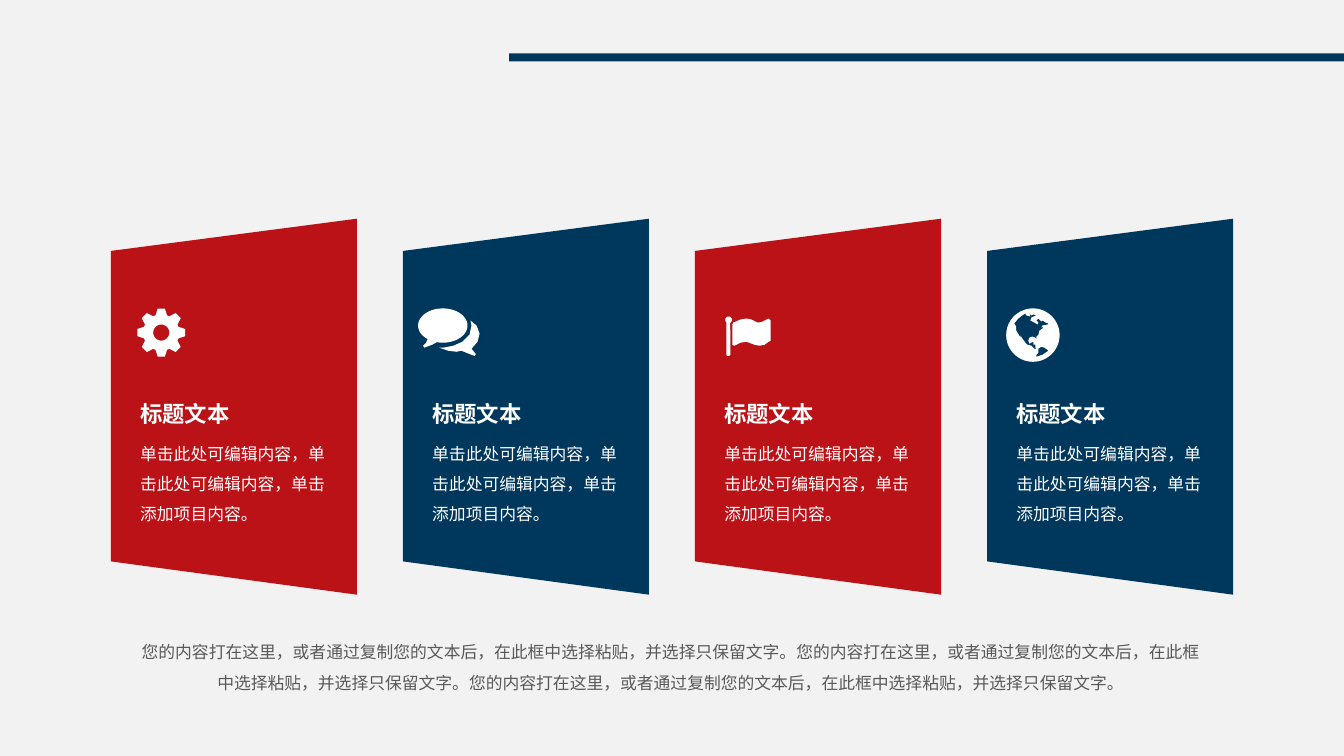
from dataclasses import dataclass
from math import cos, radians, sin

from pptx import Presentation
from pptx.dml.color import RGBColor
from pptx.enum import shapes, text
from pptx.util import Inches, Pt


@dataclass(frozen=True)
class Theme:
    background: RGBColor = RGBColor.from_string("F2F2F2")
    red: RGBColor = RGBColor.from_string("BA1216")
    navy: RGBColor = RGBColor.from_string("00375D")
    white: RGBColor = RGBColor.from_string("FFFFFF")
    grey: RGBColor = RGBColor.from_string("595959")
    font: str = "Noto Sans CJK SC"
    heading: Pt = Pt(16)
    body: Pt = Pt(12)


THEME = Theme()
CARD_TITLE = "标题文本"
CARD_BODY = "单击此处可编辑内容，单击此处可编辑内容，单击添加项目内容。"
SUMMARY = "您的内容打在这里，或者通过复制您的文本后，在此框中选择粘贴，并选择只保留文字。" * 3


def arc(cx, cy, rx, ry, start=0, end=360):
    """Points along an ellipse, with angles in degrees clockwise from the right."""
    steps = 60
    angles = [radians(start + (end - start) * i / steps) for i in range(steps + 1)]
    return [(cx + rx * cos(a), cy + ry * sin(a)) for a in angles]


def gear_outline():
    corners = ((-18.5, 18), (-8.5, 24), (8.5, 24), (18.5, 18))
    return [(24 + r * cos(radians(45 * tooth + turn)),
             24 + r * sin(radians(45 * tooth + turn)))
            for tooth in range(8) for turn, r in corners]


# Icon contours are in hundredths of an inch from the icon's top left corner.
GEAR = [gear_outline(), arc(24, 24, 8, 8)]
BUBBLES = [
    arc(24.5, 17, 24.5, 17, 128, 464) + [(14, 36), (6, 39), (5, 37), (8, 34)],
    [(53, 40), (57, 45), (57, 46), (56, 47), (53, 46), (43, 42), (38, 43),
     (30, 42), (21, 39), (25, 39), (35, 37), (44, 33), (51, 26), (53, 17),
     (52, 12), (58, 17), (61, 25), (59, 33)],
]
FLAG = [
    arc(3.3, 3.3, 3.3, 3.3, 120, 420) + [(5, 38), (4, 39), (2, 39), (1, 38), (1, 6)],
    [(7, 8), (8, 6), (15, 3), (21, 2), (26, 3), (32, 6), (36, 5.5), (43, 2),
     (45, 4), (45, 24), (43, 25), (39, 28), (34, 29), (29, 28), (21, 25),
     (15, 26), (9, 29), (7, 28)],
]
GLOBE = [
    arc(26.5, 26.5, 26.5, 26.5),
    [(35, 19), (36, 17), (41, 16), (42, 15), (39, 14), (36, 12), (35, 13),
     (32, 10), (30, 12), (32, 14), (31, 16), (28, 14), (24, 12), (25, 9),
     (30, 7), (27, 6), (25, 7), (23, 5), (24, 8), (20, 7), (19, 5), (16, 7),
     (12, 10), (8, 15), (10, 18), (10, 22), (13, 27), (16, 31), (14, 27),
     (19, 34), (21, 36), (25, 37), (28, 40), (31, 41), (29, 39), (29, 36),
     (27, 36), (27, 33), (25, 34), (23, 35), (22, 32), (23, 29), (26, 28),
     (29, 29), (30, 31), (30, 28), (32, 26), (33, 22), (36, 20), (37, 18)],
    [(42, 42), (38, 39), (35, 38), (32, 40), (32, 44), (30, 46), (30, 48), (36, 46)],
]


def paint(shape, color):
    shape.fill.solid()
    shape.fill.fore_color.rgb = color
    shape.line.fill.background()
    shape.shadow.inherit = False


def add_outline(slide, left, top, contours, color):
    """Draw closed contours, given in hundredths of an inch, as one filled shape."""
    scaled = [[(Inches(x / 100), Inches(y / 100)) for x, y in contour]
              for contour in contours]
    builder = slide.shapes.build_freeform(*scaled[0][0])
    builder.add_line_segments(scaled[0][1:], close=True)
    for contour in scaled[1:]:
        builder.move_to(*contour[0])
        builder.add_line_segments(contour[1:], close=True)
    paint(builder.convert_to_shape(left, top), color)


def add_label(slide, box, words, size, color, bold=False, spacing=None, align=None):
    label = slide.shapes.add_textbox(*box)
    frame = label.text_frame
    frame.word_wrap = True
    frame.auto_size = text.MSO_AUTO_SIZE.SHAPE_TO_FIT_TEXT
    frame.margin_left = frame.margin_right = frame.margin_top = frame.margin_bottom = 0
    paragraph = frame.paragraphs[0]
    paragraph.text = words
    paragraph.line_spacing = spacing
    paragraph.alignment = align
    paragraph.font.name = THEME.font
    paragraph.font.size = size
    paragraph.font.bold = bold
    paragraph.font.color.rgb = color


def add_card(slide, left, top, color, icon, icon_x, icon_y):
    panel = [(244, 0), (244, 373), (0, 340), (0, 32)]
    add_outline(slide, left, top, [panel], color)
    add_outline(slide, left + Inches(icon_x), top + Inches(icon_y), icon, THEME.white)
    text_left, text_width = left + Inches(0.29), Inches(1.99)
    add_label(slide, (text_left, top + Inches(1.8), text_width, Inches(0.27)),
              CARD_TITLE, THEME.heading, THEME.white, bold=True)
    add_label(slide, (text_left, top + Inches(2.13), text_width, Inches(0.91)),
              CARD_BODY, THEME.body, THEME.white, spacing=1.5)


def add_header_bar(slide, left, top, width, height):
    bar = slide.shapes.add_shape(shapes.MSO_SHAPE.RECTANGLE, left, top, width, height)
    paint(bar, THEME.navy)


def build_cards_slide(deck):
    slide = deck.slides.add_slide(deck.slide_layouts[6])
    slide.background.fill.solid()
    slide.background.fill.fore_color.rgb = THEME.background

    first_left, last_left = Inches(1.1), Inches(9.79)
    cards = [
        (THEME.red, GEAR, 0.26, 0.89),
        (THEME.navy, BUBBLES, 0.15, 0.89),
        (THEME.red, FLAG, 0.3, 0.97),
        (THEME.navy, GLOBE, 0.19, 0.89),
    ]
    pitch = (last_left - first_left) // (len(cards) - 1)
    for index, card in enumerate(cards):
        add_card(slide, first_left + index * pitch, Inches(2.17), *card)

    add_label(slide, (Inches(1.39), Inches(6.27), Inches(10.53), Inches(0.57)),
              SUMMARY, THEME.body, THEME.grey, spacing=1.5,
              align=text.PP_ALIGN.CENTER)
    bar_left = Inches(5.05)
    add_header_bar(slide, bar_left, Inches(0.53), deck.slide_width - bar_left, Inches(0.08))


def main():
    deck = Presentation()
    deck.slide_width, deck.slide_height = Inches(13.33), Inches(7.5)
    build_cards_slide(deck)
    deck.save("out.pptx")


if __name__ == "__main__":
    main()
